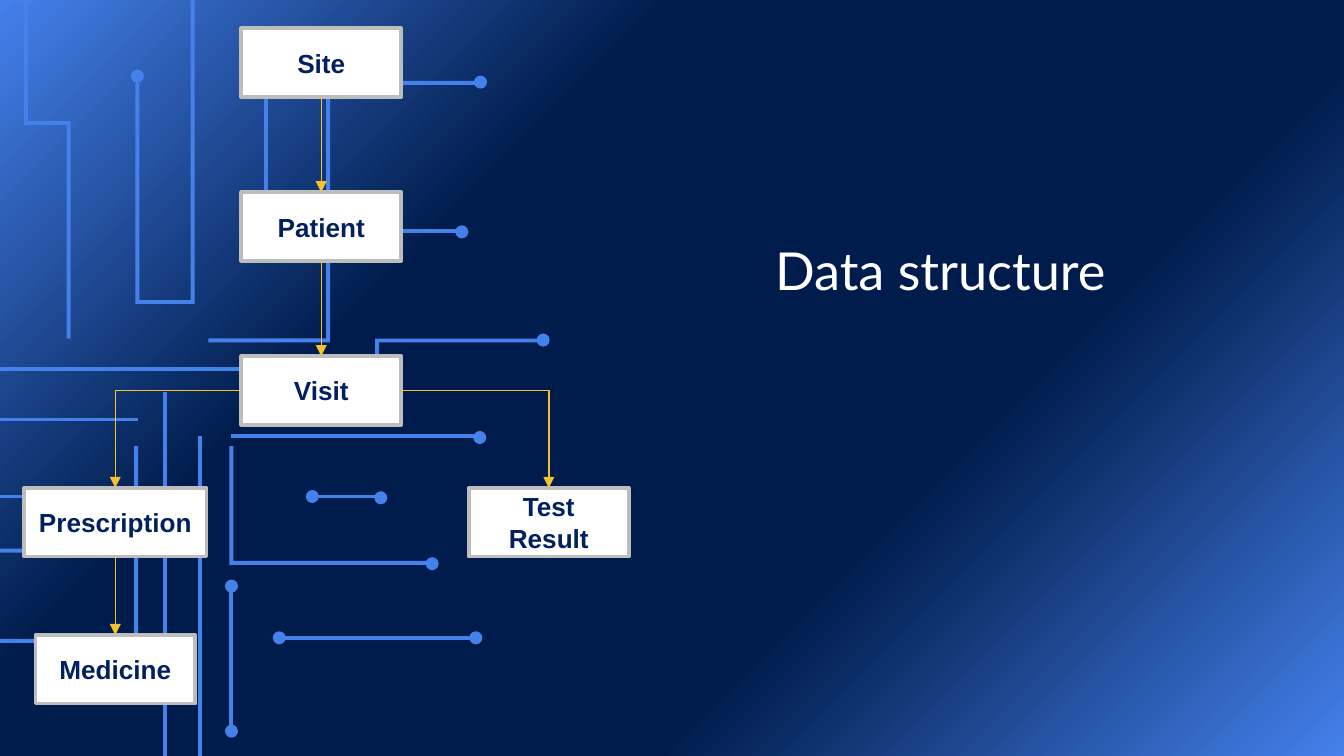
from lxml import etree
from pptx import Presentation
from pptx.dml.color import RGBColor
from pptx.enum.shapes import MSO_CONNECTOR, MSO_SHAPE
from pptx.enum.text import MSO_ANCHOR, PP_ALIGN
from pptx.oxml.ns import qn
from pptx.util import Pt

RECT, OVAL = MSO_SHAPE.RECTANGLE, MSO_SHAPE.OVAL
LINE, ELBOW = MSO_CONNECTOR.STRAIGHT, MSO_CONNECTOR.ELBOW
MIDDLE, CENTER = MSO_ANCHOR.MIDDLE, PP_ALIGN.CENTER

THEME = {
    "trace": "4581EB", "white": "FFFFFF", "edge": "BDBDBD",
    "ink": "002060", "arrow": "F4C22E",
    "stops": [(0, "4581EB"), (33, "001C4C"), (68, "001C4C"), (100, "4581EB")],
    "title": ("Lato", 28), "label": ("Arial", 14),
}

# Content: all places in points
WIDE, HIGH = 720, 405
TITLE = ("Data structure", 408.2, 121.7, 296.6, 45.4)

BOX_W, BOX_H = 85.7, 36.8
TOP, STEP = 15.2, 87.8
MID, LEFT, RIGHT = 172.1, 61.8, 294
BOXES = {  # name: centre x, top, width
    "Site": (MID, TOP, BOX_W),
    "Patient": (MID, TOP + STEP, BOX_W),
    "Visit": (MID, TOP + 2 * STEP, BOX_W),
    "Prescription": (LEFT, 261.4, 97.6),
    "Test Result": (RIGHT, 261.4, BOX_W),
    "Medicine": (LEFT, 340.2, BOX_W),
}
LINKS = [
    ("Site", "Patient"), ("Patient", "Visit"), ("Visit", "Prescription"),
    ("Visit", "Test Result"), ("Prescription", "Medicine"),
]

# Centre lines of the circuit traces
TRACE_W = 2.1
TRACES = [
    [(0, 197.6), (128.2, 197.6)],
    [(0, 224.8), (74, 224.8)],
    [(257.8, 44.4), (175.8, 44.4), (175.8, 182.4), (111.6, 182.4)],
    [(88.4, 210.2), (88.4, HIGH)],
    [(107, 233.8), (107, HIGH)],
    [(73, 239), (73, 343.4), (0, 343.4)],
    [(124, 239), (124, 301.6), (229, 301.6)],
    [(103.2, 0), (103.2, 161.8), (73.6, 161.8), (73.6, 41)],
    [(124, 316.8), (124, 388.8)],
    [(55, 262), (55, 295), (0, 295)],
    [(291.6, 182.4), (202, 182.4), (202, 203.4), (130.3, 203.4)],
    [(123.8, 233.8), (257.8, 233.8)],
    [(0, 266), (23.8, 266)],
    [(14, 0), (14, 66), (36.8, 66), (36.8, 181.4)],
    [(170, 266), (201.6, 266)],
    [(142.4, 44.6), (142.4, 113)],
    [(145.4, 124), (247.7, 124)],
    [(152.6, 341.7), (254.9, 341.7)],
]
DOT = 7
DOTS = [
    (73.6, 40.8), (257.4, 44), (291, 182.2), (231.5, 302), (124, 391.7),
    (124, 314), (14.2, -1.6), (167.3, 266), (204, 266.7), (257, 234.4),
    (247.4, 124.2), (149.6, 341.7), (254.9, 341.7),
]


def color(name):
    return RGBColor.from_string(THEME[name])


def paint(shape, fill, edge=None):
    shape.shadow.inherit = False
    shape.fill.solid()
    shape.fill.fore_color.rgb = color(fill)
    if edge:
        shape.line.color.rgb = color(edge)
        shape.line.width = Pt(2)
    else:
        shape.line.fill.background()


def write(shape, text, style, ink):
    frame = shape.text_frame
    frame.word_wrap = True
    frame.vertical_anchor = MIDDLE
    frame.text = text
    para = frame.paragraphs[0]
    para.font.name, size = THEME[style]
    para.font.size = Pt(size)
    para.font.color.rgb = color(ink)
    return para


def outline(line):
    """Widen a right-angled centre line into a closed band."""
    norms = []
    for (x1, y1), (x2, y2) in zip(line, line[1:]):
        size = abs(x2 - x1) + abs(y2 - y1)
        norms.append(((y1 - y2) / size, (x2 - x1) / size))
    sides = [], []
    for i, (x, y) in enumerate(line):
        near = norms[max(i - 1, 0):i + 1]
        dx, dy = (sum(part) * TRACE_W / 2 for part in zip(*near))
        sides[0].append((Pt(x + dx), Pt(y + dy)))
        sides[1].append((Pt(x - dx), Pt(y - dy)))
    return sides[0] + sides[1][::-1]


def link(shapes, start, end):
    x1, top, wide = BOXES[start]
    x2, y2, _ = BOXES[end]
    bent = x1 != x2
    y1 = top + BOX_H
    if bent:
        x1 += wide / 2 if x2 > x1 else -wide / 2
        y1 = top + BOX_H / 2
    arrow = shapes.add_connector(
        ELBOW if bent else LINE, Pt(x1), Pt(y1), Pt(x2), Pt(y2))
    arrow.line.color.rgb = color("arrow")
    arrow.line.width = Pt(0.75)
    props = arrow._element.spPr
    if bent:
        props.find(qn("a:prstGeom")).set("prst", "bentConnector2")
    etree.SubElement(props.find(qn("a:ln")), qn("a:tailEnd"), type="triangle")
    etree.SubElement(props, qn("a:effectLst"))


def main():
    deck = Presentation()
    deck.slide_width, deck.slide_height = Pt(WIDE), Pt(HIGH)
    slide = deck.slides.add_slide(deck.slide_layouts[6])
    shapes = slide.shapes

    # Background gradient
    fill = slide.background.fill
    fill.gradient()
    fill.gradient_angle = 135
    stops = next(slide._element.iter(qn("a:gsLst")))
    for stop in list(stops):
        stops.remove(stop)
    for place, tint in THEME["stops"]:
        stop = etree.SubElement(stops, qn("a:gs"), pos=str(place * 1000))
        etree.SubElement(stop, qn("a:srgbClr"), val=tint)

    # Circuit traces and their end dots
    for line in TRACES:
        first, *rest = outline(line)
        pen = shapes.build_freeform(*first)
        pen.add_line_segments(rest, close=True)
        paint(pen.convert_to_shape(), "trace")
    for x, y in DOTS:
        dot = shapes.add_shape(
            OVAL, Pt(x - DOT / 2), Pt(y - DOT / 2), Pt(DOT), Pt(DOT))
        paint(dot, "trace")

    # Title
    text, *area = TITLE
    box = shapes.add_textbox(*map(Pt, area))
    write(box, text, "title", "white")
    frame = box.text_frame
    frame.margin_top = frame.margin_bottom = Pt(7.2)

    # Boxes, then the arrows between them
    for name, (x, y, wide) in BOXES.items():
        box = shapes.add_shape(
            RECT, Pt(x - wide / 2), Pt(y), Pt(wide), Pt(BOX_H))
        paint(box, "white", "edge")
        para = write(box, name, "label", "ink")
        para.font.bold = True
        para.alignment = CENTER
    for start, end in LINKS:
        link(shapes, start, end)

    deck.save("out.pptx")


if __name__ == "__main__":
    main()
